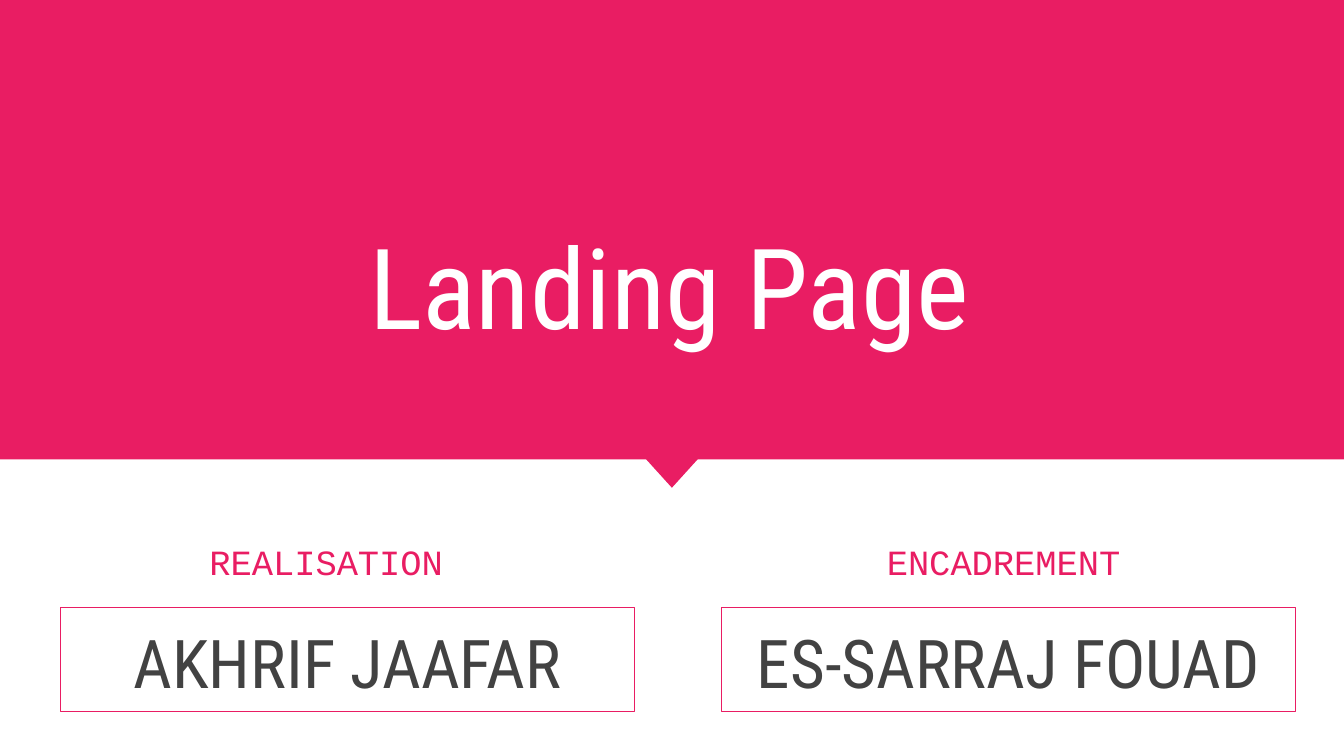
from lxml import etree
from pptx import Presentation
from pptx.dml.color import RGBColor
from pptx.enum.shapes import MSO_SHAPE
from pptx.enum.text import MSO_ANCHOR, MSO_AUTO_SIZE, PP_ALIGN
from pptx.oxml.ns import qn
from pptx.util import Pt

PINK = RGBColor(0xE9, 0x1D, 0x63)
WHITE = RGBColor(0xFF, 0xFF, 0xFF)
GREY = RGBColor(0x42, 0x42, 0x42)

RECT, WEDGE = MSO_SHAPE.RECTANGLE, MSO_SHAPE.ISOSCELES_TRIANGLE
TOP, BOTTOM = MSO_ANCHOR.TOP, MSO_ANCHOR.BOTTOM
LEFT, CENTER = PP_ALIGN.LEFT, PP_ALIGN.CENTER
FIXED, GROW = MSO_AUTO_SIZE.NONE, MSO_AUTO_SIZE.SHAPE_TO_FIT_TEXT

HEAD = {"name": "Roboto Condensed", "size": Pt(60), "bold": False}
NAME = {"name": "Roboto Condensed", "size": Pt(36), "bold": False}
LABEL = {"name": "Courier New", "size": Pt(19), "bold": False}
INSET = Pt(7.2)

# Role, person, left of the box, left of the label
CARDS = [
    ("REALISATION", "AKHRIF JAAFAR", 32.4, 105.1),
    ("ENCADREMENT", "ES-SARRAJ FOUAD", 386.6, 468),
]


def place(shape, left, top, width, height):
    spot = {"left": left, "top": top, "width": width, "height": height}
    for key, value in spot.items():
        setattr(shape, key, Pt(value))


def write(shape, text, font, color, align=CENTER, anchor=TOP, fit=FIXED):
    frame = shape.text_frame
    form = {"word_wrap": True, "auto_size": fit, "vertical_anchor": anchor}
    for side in ("left", "top", "right", "bottom"):
        form["margin_" + side] = INSET
    for key, value in form.items():
        setattr(frame, key, value)

    para = frame.paragraphs[0]
    para.alignment = align
    para.space_before = Pt(0)
    run = para.add_run()
    run.text = text
    for key, value in font.items():
        setattr(run.font, key, value)
    run.font.color.rgb = color


def add_back(slide, kind, box, turn=0):
    """Add a plain pink shape behind everything else."""
    shapes = slide.shapes
    shape = shapes.add_shape(kind, *map(Pt, box))
    shape.rotation = turn
    shape.shadow.inherit = False
    shape.fill.solid()
    shape.fill.fore_color.rgb = PINK
    shape.line.fill.background()
    shapes._spTree.insert(2, shape._element)


def fill_card(shape, text, left):
    """Turn a body placeholder into a framed name without a bullet."""
    place(shape, left, 325.6, 307.5, 55.6)
    shape.line.color.rgb = PINK
    shape.line.width = Pt(0.75)
    props = shape.text_frame.paragraphs[0]._p.get_or_add_pPr()
    props.set("marL", "0")
    props.set("indent", "0")
    etree.SubElement(props, qn("a:buNone"))
    write(shape, text, NAME, GREY)


def add_label(slide, text, left):
    box = slide.shapes.add_textbox(*map(Pt, (left, 282.2, 144.7, 37.4)))
    write(box, text, LABEL, PINK, align=LEFT, fit=GROW)


def main():
    deck = Presentation()
    deck.slide_width, deck.slide_height = Pt(720), Pt(405)
    slide = deck.slides.add_slide(deck.slide_layouts[3])

    # Banner with its pointer
    add_back(slide, RECT, (0, 0, 720, 246.2))
    add_back(slide, WEDGE, (332.6, 231.1, 54.7, 30.2), turn=180)

    # Title
    title = slide.shapes.title
    place(title, 32.4, 90, 652.3, 105.8)
    write(title, "Landing Page", HEAD, WHITE, anchor=BOTTOM)

    # People and their roles
    for idx, (role, person, left, start) in enumerate(CARDS, 1):
        fill_card(slide.placeholders[idx], person, left)
        add_label(slide, role, start)

    deck.save("out.pptx")


if __name__ == "__main__":
    main()
